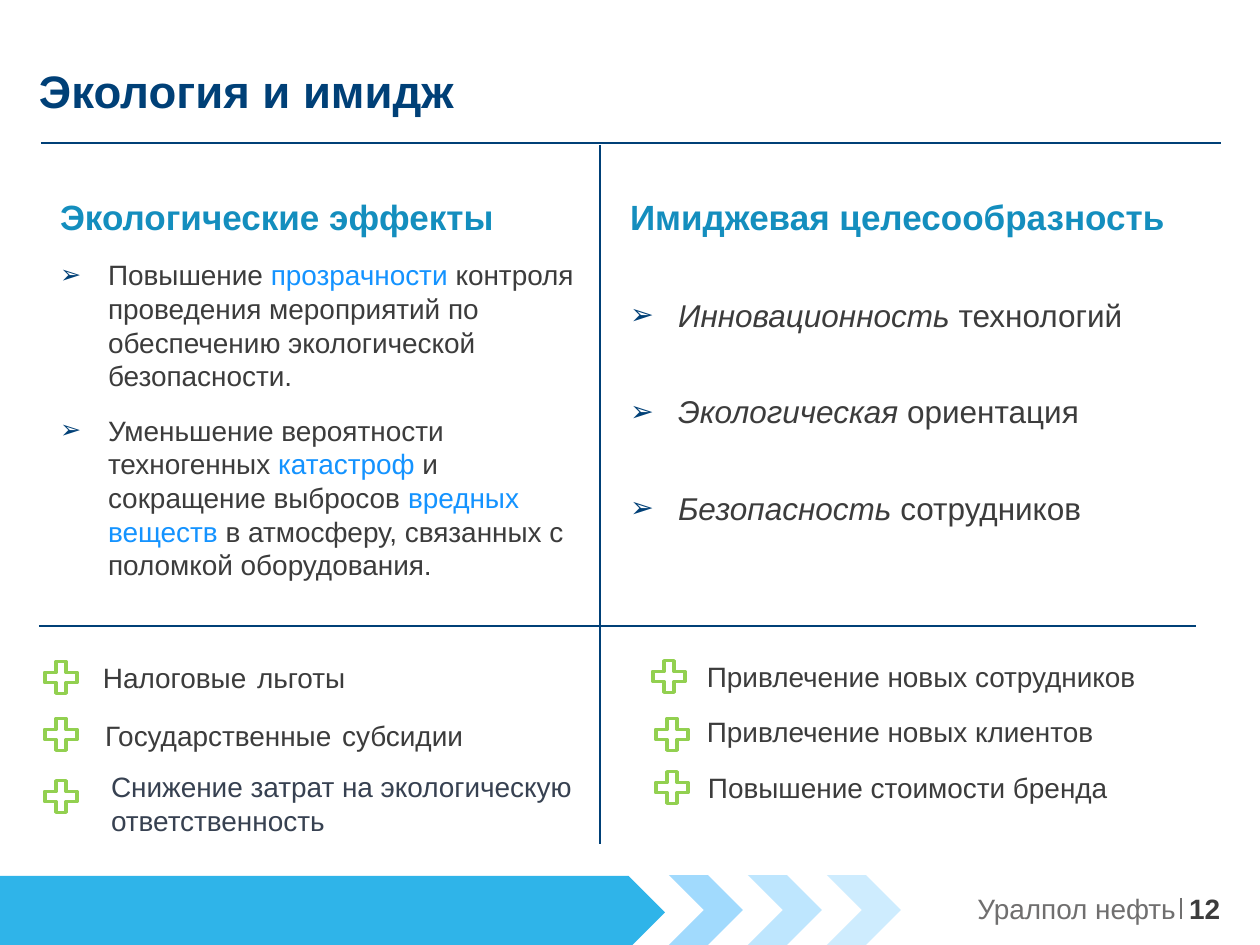
from lxml import etree
from pptx import Presentation
from pptx.dml.color import RGBColor
from pptx.enum.shapes import MSO_CONNECTOR, MSO_SHAPE
from pptx.enum.text import MSO_ANCHOR, MSO_AUTO_SIZE, PP_ALIGN
from pptx.oxml.ns import qn
from pptx.util import Emu, Pt

PLUS, PENTAGON, CHEVRON = MSO_SHAPE.MATH_PLUS, MSO_SHAPE.PENTAGON, MSO_SHAPE.CHEVRON
TOP, MIDDLE, BOTTOM = MSO_ANCHOR.TOP, MSO_ANCHOR.MIDDLE, MSO_ANCHOR.BOTTOM
LEFT, RIGHT = PP_ALIGN.LEFT, PP_ALIGN.RIGHT
SCALE = 914400 / 126
COLORS = {
    "navy": "004077", "head": "148EBE", "text": "3C3C3C", "slate": "374151",
    "accent": "1493FF", "gray": "706F6F", "white": "FFFFFF", "green": "92D050",
    "band": "2FB4E9", "sky1": "A1DAFD", "sky2": "BEE6FE", "sky3": "CEECFE",
}


def px(*values):
    return [Emu(round(v * SCALE)) for v in values]


def rgb(name):
    return RGBColor.from_string(COLORS[name])


def set_bullet(p, char, indent):
    """Give a paragraph a hanging bullet, or none when char is None."""
    pPr = p._p.get_or_add_pPr()
    pPr.set("marL", str(px(indent)[0]))
    pPr.set("indent", str(px(-indent)[0]))
    if char is None:
        etree.SubElement(pPr, qn("a:buNone"))
        return
    color = etree.SubElement(pPr, qn("a:buClr"))
    etree.SubElement(color, qn("a:srgbClr"), val=COLORS["navy"])
    etree.SubElement(pPr, qn("a:buSzPct"), val="90000")
    etree.SubElement(pPr, qn("a:buFont"), typeface="Arial")
    etree.SubElement(pPr, qn("a:buChar"), char=char)


def fill_paragraph(p, runs, font="Arial", size=16, color="text", bold=False, align=LEFT,
                   before=0, spacing=1.0, bullet=None, indent=0):
    """Fill a paragraph from a string or (text, overrides) pairs."""
    p.alignment, p.space_before, p.line_spacing = align, Pt(before), spacing
    set_bullet(p, bullet, indent)
    for text, own in [(runs, {})] if isinstance(runs, str) else runs:
        r = p.add_run()
        r.text = text
        r.font.name = font
        r.font.size = Pt(own.get("size", size))
        r.font.bold = bold
        r.font.italic = own.get("italic", False)
        r.font.color.rgb = rgb(own.get("color", color))


class Deck:
    def __init__(self, prs, layout, font):
        self.s = prs.slides.add_slide(prs.slide_layouts[layout])
        self.font = font

    def frame(self, sp, box, anchor=TOP):
        sp.left, sp.top, sp.width, sp.height = px(*box)
        tf = sp.text_frame
        tf.auto_size = MSO_AUTO_SIZE.NONE
        tf.word_wrap = True
        tf.vertical_anchor = anchor
        tf.margin_left = tf.margin_right = tf.margin_top = tf.margin_bottom = 0
        return tf

    def title(self, text, box):
        tf = self.frame(self.s.shapes.title, box, BOTTOM)
        fill_paragraph(tf.paragraphs[0], text, self.font, size=26, color="navy",
                       bold=True, spacing=0.9)

    def bullets(self, idx, box, heading, items, **fmt):
        tf = self.frame(self.s.placeholders[idx], box)
        fill_paragraph(tf.paragraphs[0], heading, self.font, size=20, color="head",
                       bold=True, before=12)
        for item in items:
            fill_paragraph(tf.add_paragraph(), item, self.font, before=12,
                           bullet="➢", indent=48, **fmt)

    def text(self, runs, box, anchor=TOP, **fmt):
        sp = self.s.shapes.add_textbox(*px(*box))
        fill_paragraph(self.frame(sp, box, anchor).paragraphs[0], runs, self.font, **fmt)

    def shape(self, kind, box, fill, line=None):
        sp = self.s.shapes.add_shape(kind, *px(*box))
        sp.shadow.inherit = False
        sp.fill.solid()
        sp.fill.fore_color.rgb = rgb(fill)
        if line:
            sp.line.color.rgb = rgb(line)
            sp.line.width = Pt(2)
        else:
            sp.line.fill.background()

    def line(self, x1, y1, x2, y2, color="navy", width=0.75):
        c = self.s.shapes.add_connector(MSO_CONNECTOR.STRAIGHT, *px(x1, y1, x2, y2))
        c.line.color.rgb = rgb(color)
        c.line.width = Pt(width)
        etree.SubElement(c._element.spPr, qn("a:effectLst"))


def main():
    prs = Presentation()
    prs.slide_width, prs.slide_height = px(1260, 945)
    deck = Deck(prs, 3, "Arial")
    accent, italic, wide = {"color": "accent"}, {"italic": True}, {"size": 22}

    deck.title("Экология и имидж", (39, 35, 1181, 83))
    deck.bullets(1, (60, 195, 520, 485), "Экологические эффекты", [
        [("Повышение ", {}), ("прозрачности", accent),
         (" контроля проведения мероприятий по обеспечению экологической безопасности.", {})],
        [("Уменьшение вероятности техногенных ", {}), ("катастроф ", accent),
         ("и сокращение выбросов ", {}), ("вредных веществ", accent),
         (" в атмосферу, связанных с поломкой оборудования.", {})],
    ])
    deck.bullets(2, (630, 195, 591, 699), "Имиджевая целесообразность", [
        [("Инновационность", italic), (" технологий", {})],
        [("Экологическая", italic), (" ориентация", {})],
        [("Безопасность", italic), (" сотрудников", {})],
    ], size=18, spacing=2.0)

    deck.line(41, 143, 1221, 143, width=1)
    deck.line(600, 145, 600, 844)
    deck.line(39, 626, 1196, 626)

    benefits = [
        (39, 656, 103, 650, 334, [("Налоговые", {}), (" ", wide), ("льготы", {})], "text"),
        (39, 713, 105, 708, 495, [("Государственные", {}), (" ", wide), ("субсидии", {})], "text"),
        (39, 775, 111, 770, 470, "Снижение затрат на экологическую ответственность", "slate"),
        (647, 655, 707, 660, 530, "Привлечение новых сотрудников", "text"),
        (650, 713, 707, 715, 530, "Привлечение новых клиентов", "text"),
        (650, 766, 708, 771, 420, "Повышение стоимости бренда", "text"),
    ]
    for plus_x, plus_y, x, y, width, text, color in benefits:
        deck.shape(PLUS, (plus_x, plus_y, 44, 43), "white", "green")
        deck.text(text, (x, y, width, 40), color=color)

    deck.shape(PENTAGON, (0, 876, 665, 73), "band")
    for i, fill in enumerate(("sky1", "sky2", "sky3")):
        deck.shape(CHEVRON, (669 + 79 * i, 875, 74, 70), fill)
    deck.text("Уралпол нефть", (748, 891, 428, 34), MIDDLE, color="gray", align=RIGHT)
    deck.line(1181, 898, 1181, 919, "gray")
    deck.text("12", (1189, 892, 71, 24), bold=True)
    prs.save("out.pptx")


if __name__ == "__main__":
    main()
